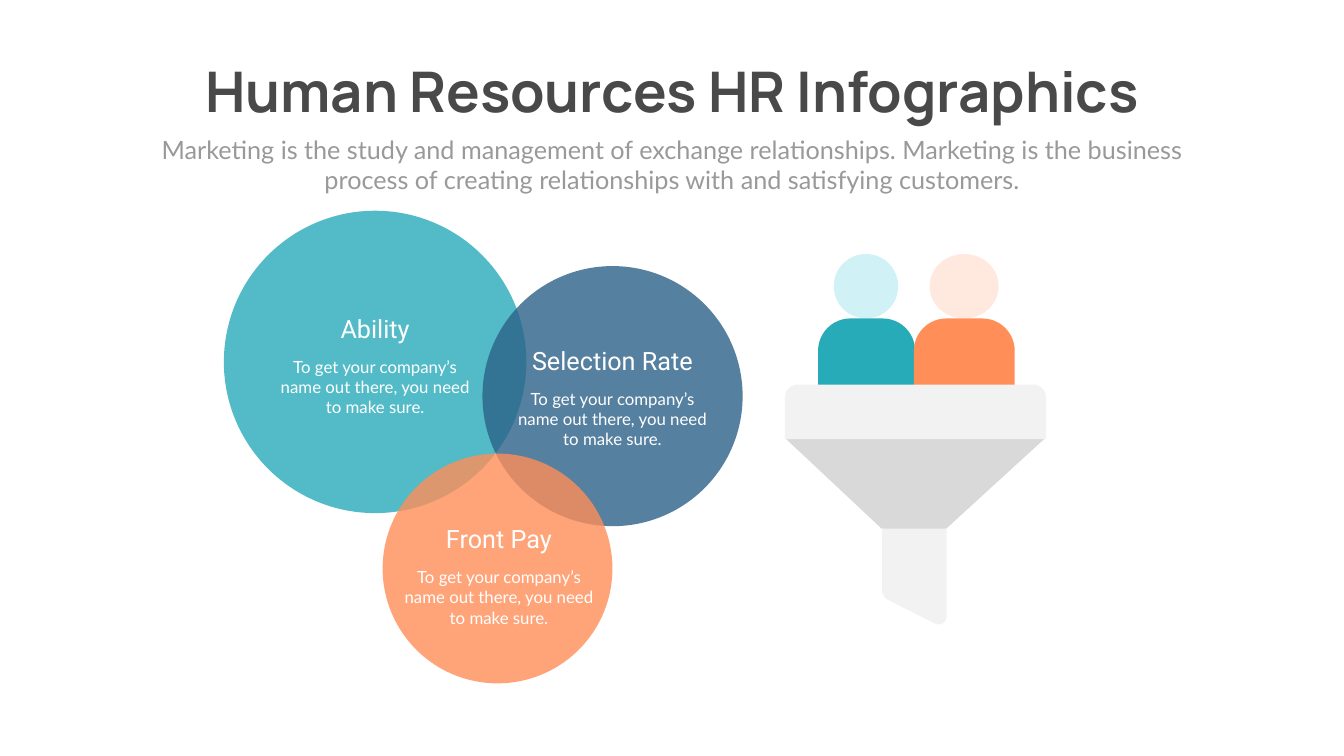
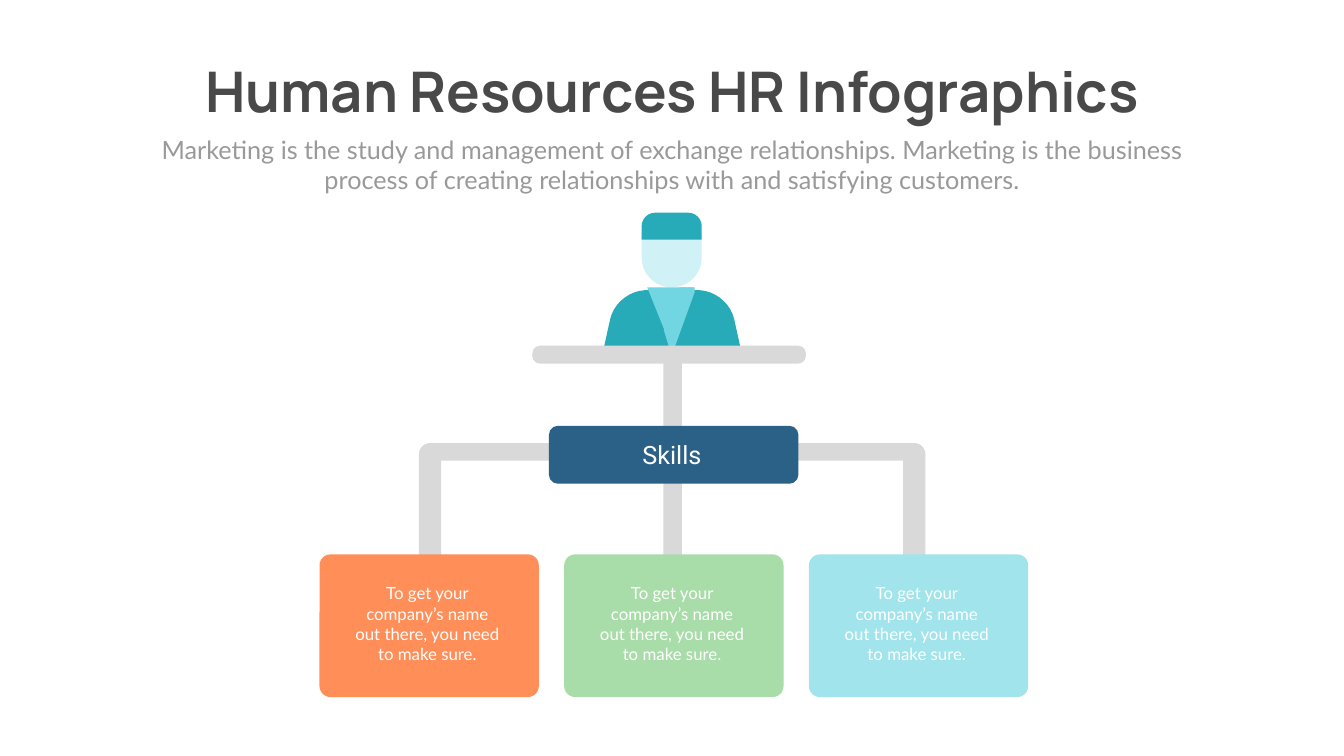
from math import hypot

from lxml.etree import SubElement
from pptx import Presentation
from pptx.dml.color import RGBColor
from pptx.enum.shapes import MSO_SHAPE
from pptx.enum.text import MSO_ANCHOR, MSO_AUTO_SIZE, PP_ALIGN
from pptx.oxml.ns import qn
from pptx.util import Cm, Pt

CHARCOAL = RGBColor(0x49, 0x49, 0x49)
GREY = RGBColor(0x99, 0x99, 0x99)
SILVER = RGBColor(0xD9, 0xD9, 0xD9)
MIST = RGBColor(0xF2, 0xF2, 0xF2)
WHITE = RGBColor(0xFF, 0xFF, 0xFF)
TEAL = RGBColor(0x27, 0xAB, 0xB9)
AQUA = RGBColor(0x71, 0xD6, 0xE1)
SKY = RGBColor(0xA1, 0xE4, 0xEB)
PALE_TEAL = RGBColor(0xD0, 0xF1, 0xF5)
NAVY = RGBColor(0x2C, 0x61, 0x87)
ORANGE = RGBColor(0xFF, 0x8E, 0x58)
PALE_ORANGE = RGBColor(0xFF, 0xE8, 0xDE)
GREEN = RGBColor(0xA8, 0xDC, 0xA8)

TITLE = "Human Resources HR Infographics"
SUBTITLE = (
    "Marketing is the study and management of exchange relationships. "
    "Marketing is the business process of creating relationships with "
    "and satisfying customers."
)
BODY = "To get your company’s name out there, you need to make sure."

TITLE_STYLE = ("Manrope", 80, CHARCOAL, True)
SUBTITLE_STYLE = ("Lato", 36, GREY, False)
HEADING_STYLE = ("Roboto", 36, WHITE, False)
BODY_STYLE = ("Lato", 24, WHITE, False)

CIRCLES = [
    (11.28, 10.62, 15.24, TEAL),
    (24.31, 13.41, 13.11, NAVY),
    (19.28, 22.86, 11.58, ORANGE),
]
CIRCLE_TEXTS = [
    ("Ability", 18.9, 15.67, 8.28),
    ("Front Pay", 25.14, 26.26, 8.28),
    ("Selection Rate", 30.86, 17.27, 9.25),
]
PEOPLE = [
    ((42.01, 3.25), PALE_TEAL, (41.22, 4.89), TEAL),
    ((46.84, 3.48), PALE_ORANGE, (46.05, 5.08), ORANGE),
]
SPOUT = [
    (44.45, 26.67, 0), (44.45, 30.08, 0.33), (47.7, 31.73, 0.74),
    (47.7, 26.67, 0), (46.08, 26.34, 0),
]
CONE = [
    (39.55, 22.07, 0), (44.42, 26.64, 0), (47.68, 26.64, 0),
    (52.68, 22.07, 0), (46.02, 21.74, 0),
]

AXIS = 33.87
STEMS = [(17.42, 4.5), (23.67, 4.75)]
ARM = [
    (21.11, 28.4, 0), (21.11, 22.33, 0.57), (28.04, 22.33, 0),
    (28.04, 23.22, 0), (22.23, 23.22, 0), (22.23, 28.4, 0),
]
FACE = [
    (32.33, 11.73, 0), (35.36, 11.73, 0),
    (35.36, 14.48, 1.5), (32.33, 14.48, 1.5),
]
JACKET = [
    (30.35, 17.88, 0), (31.1, 14.48, 1.65), (AXIS, 14.73, 0),
    (36.64, 14.48, 1.65), (37.39, 17.88, 0),
]
SHIRT = [
    (32.61, 14.48, 0), (35, 14.48, 0), (35, 14.73, 0),
    (33.86, 17.88, 0), (33.48, 16.64, 0),
]
LAPEL = [
    (34.21, 14.48, 0), (34.95, 14.48, 0), (34.95, 14.73, 0),
    (33.83, 17.88, 0), (33.45, 16.64, 0),
]
CARD_COLOURS = [ORANGE, GREEN, SKY]
CARD_LEFT, CARD_TOP, CARD_WIDTH, CARD_HEIGHT, CARD_PITCH = 16.1, 27.94, 11.05, 7.19, 12.33


def paint(shape, colour):
    shape.shadow.inherit = False
    shape.fill.solid()
    shape.fill.fore_color.rgb = colour
    shape.line.fill.background()
    return shape


def add_preset(slide, preset, box, colour, radius=None):
    shape = slide.shapes.add_shape(preset, *map(Cm, box))
    if radius is not None:
        shape.adjustments[0] = radius / min(box[2:])
    return paint(shape, colour)


def set_opacity(shape, percent):
    colour = shape.element.spPr.find(qn("a:solidFill")).find(qn("a:srgbClr"))
    SubElement(colour, qn("a:alpha")).set("val", str(percent * 1000))


def toward(start, end, share):
    return tuple(a + (b - a) * share for a, b in zip(start, end))


def round_corner(before, corner, after, radius, steps=10):
    start, end = (
        toward(corner, near, radius / hypot(near[0] - corner[0], near[1] - corner[1]))
        for near in (before, after)
    )
    controls = [start, toward(start, corner, 0.55), toward(end, corner, 0.55), end]
    points = []
    for step in range(steps + 1):
        level = controls
        while len(level) > 1:
            level = [toward(a, b, step / steps) for a, b in zip(level, level[1:])]
        points.append(level[0])
    return points


def add_outline(slide, corners, colour):
    """Draw a closed outline from (x, y, corner radius) entries."""
    points = []
    for index, (x, y, radius) in enumerate(corners):
        before = corners[index - 1][:2]
        after = corners[(index + 1) % len(corners)][:2]
        points += round_corner(before, (x, y), after, radius) if radius else [(x, y)]
    points = [(Cm(x), Cm(y)) for x, y in points]
    builder = slide.shapes.build_freeform(*points[0])
    builder.add_line_segments(points[1:], close=True)
    return paint(builder.convert_to_shape(), colour)


def write(shape, text, style):
    font_name, size, colour, bold = style
    frame = shape.text_frame
    frame.word_wrap = True
    frame.auto_size = MSO_AUTO_SIZE.NONE
    frame.vertical_anchor = MSO_ANCHOR.TOP
    paragraph = frame.paragraphs[0]
    paragraph.alignment = PP_ALIGN.CENTER
    run = paragraph.add_run()
    run.text = text
    run.font.name = font_name
    run.font.size = Pt(size)
    run.font.color.rgb = colour
    run.font.bold = bold


def add_text(slide, box, text, style):
    write(slide.shapes.add_textbox(*map(Cm, box)), text, style)


def add_titled_slide(presentation):
    slide = presentation.slides.add_slide(presentation.slide_layouts[5])
    title = slide.shapes.title
    title.left, title.top, title.width, title.height = map(Cm, (8.33, 2.84, 51.08, 3.68))
    write(title, TITLE, TITLE_STYLE)
    title.text_frame.margin_top = 0
    add_text(slide, (7.42, 6.63, 52.88, 3.33), SUBTITLE, SUBTITLE_STYLE)
    return slide


def build_funnel_slide(presentation):
    slide = add_titled_slide(presentation)
    for (head_left, head_width), skin, (body_left, body_width), clothes in PEOPLE:
        add_preset(slide, MSO_SHAPE.OVAL, (head_left, 12.8, head_width, 3.25), skin)
        add_preset(slide, MSO_SHAPE.ROUND_2_SAME_RECTANGLE,
                   (body_left, 16.05, body_width, 3.56), clothes, 1.63)
    add_outline(slide, SPOUT, MIST)
    add_outline(slide, CONE, SILVER)
    add_preset(slide, MSO_SHAPE.ROUND_2_SAME_RECTANGLE, (39.55, 19.38, 13.16, 2.75), MIST, 0.65)
    for left, top, diameter, colour in CIRCLES:
        circle = add_preset(slide, MSO_SHAPE.OVAL, (left, top, diameter, diameter), colour)
        set_opacity(circle, 80)
    for heading, centre, top, width in CIRCLE_TEXTS:
        add_text(slide, (centre - 5.1, top + 2.19, 10.2, 3.33), BODY, BODY_STYLE)
        add_text(slide, (centre - width / 2, top, width, 1.8), heading, HEADING_STYLE)


def build_skills_slide(presentation):
    slide = add_titled_slide(presentation)
    rounded = MSO_SHAPE.ROUNDED_RECTANGLE
    for top, height in STEMS:
        add_preset(slide, rounded, (33.43, top, 0.93, height), SILVER, 0.46)
    add_outline(slide, ARM, SILVER)
    add_outline(slide, [(2 * AXIS - x, y, radius) for x, y, radius in ARM], SILVER)
    add_outline(slide, FACE, PALE_TEAL)
    add_preset(slide, MSO_SHAPE.ROUND_2_SAME_RECTANGLE, (32.33, 10.72, 3.03, 1.36), TEAL, 0.75)
    add_outline(slide, JACKET, TEAL)
    add_outline(slide, SHIRT, AQUA)
    add_outline(slide, LAPEL, AQUA)
    add_preset(slide, rounded, (27.66, 21.46, 12.57, 2.92), NAVY, 0.45)
    add_preset(slide, rounded, (26.82, 17.42, 13.79, 0.91), SILVER, 0.4)
    add_text(slide, (29.72, 22.02, 8.28, 1.8), "Skills", HEADING_STYLE)
    for index, colour in enumerate(CARD_COLOURS):
        left = CARD_LEFT + index * CARD_PITCH
        add_preset(slide, rounded, (left, CARD_TOP, CARD_WIDTH, CARD_HEIGHT), colour, 0.55)
        add_text(slide, (left + 1.53, CARD_TOP + 1.32, 7.8, 4.37), BODY, BODY_STYLE)


def main():
    presentation = Presentation()
    presentation.slide_width = Cm(67.72)
    presentation.slide_height = Cm(38.1)
    build_funnel_slide(presentation)
    build_skills_slide(presentation)
    presentation.save("out.pptx")


if __name__ == "__main__":
    main()
